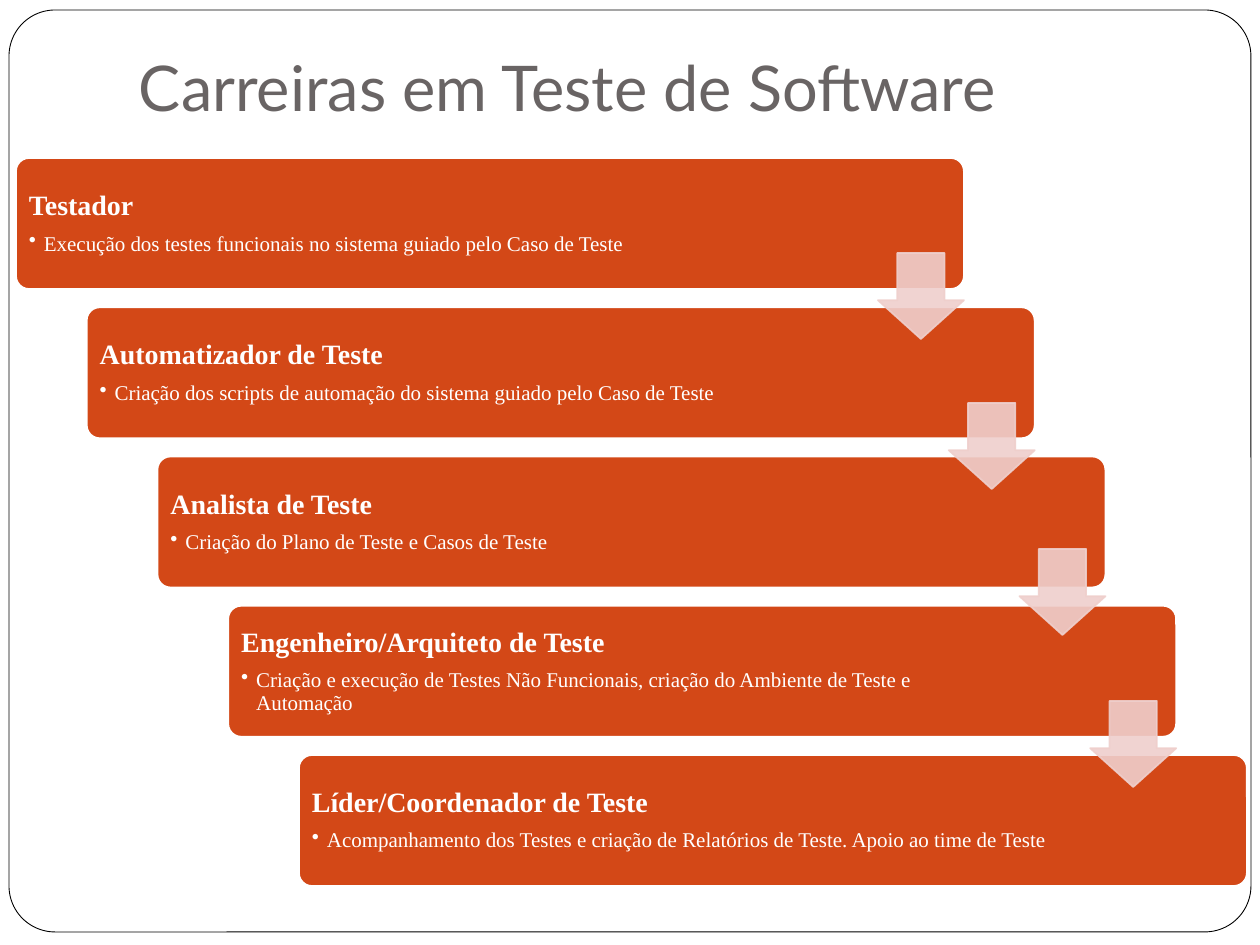
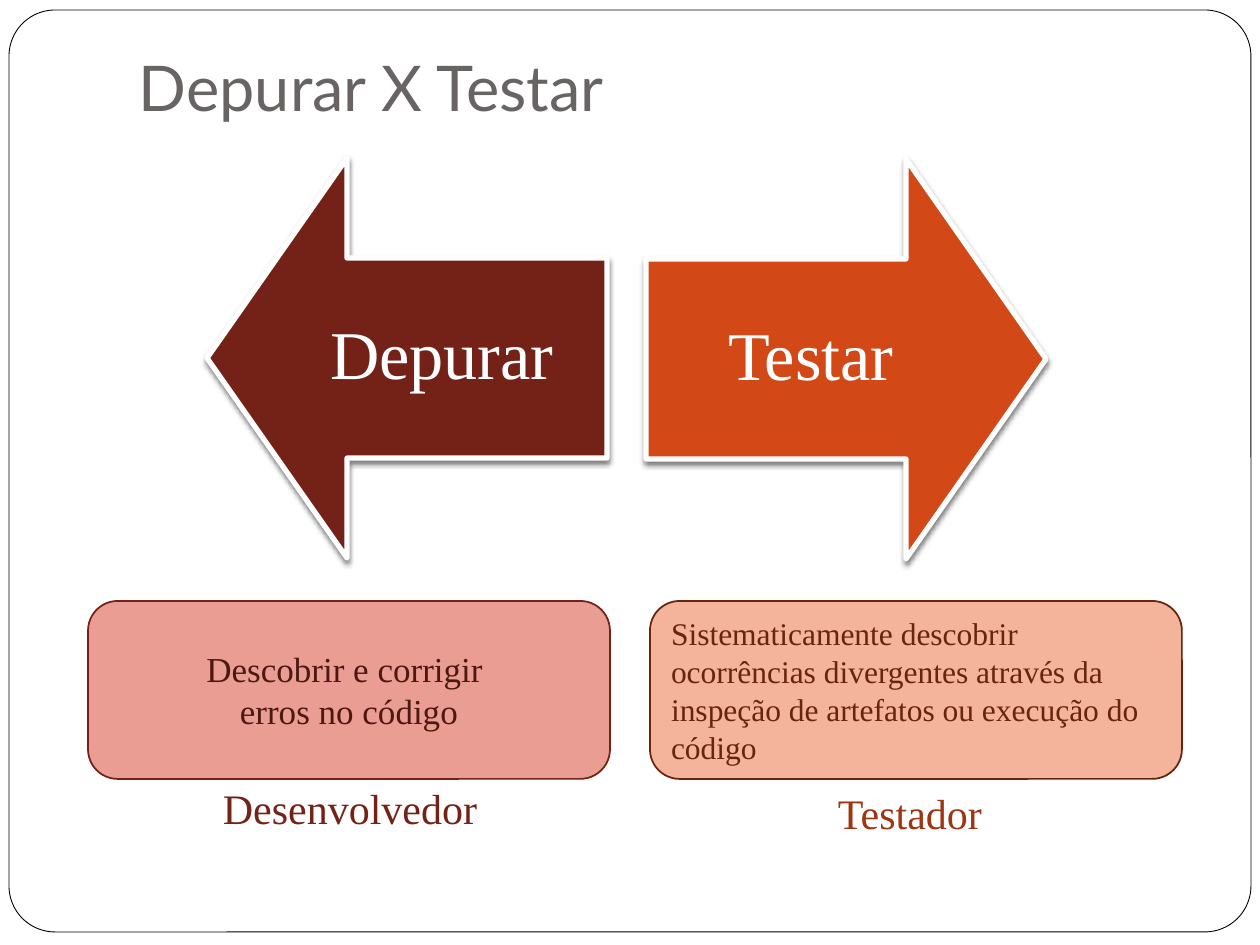
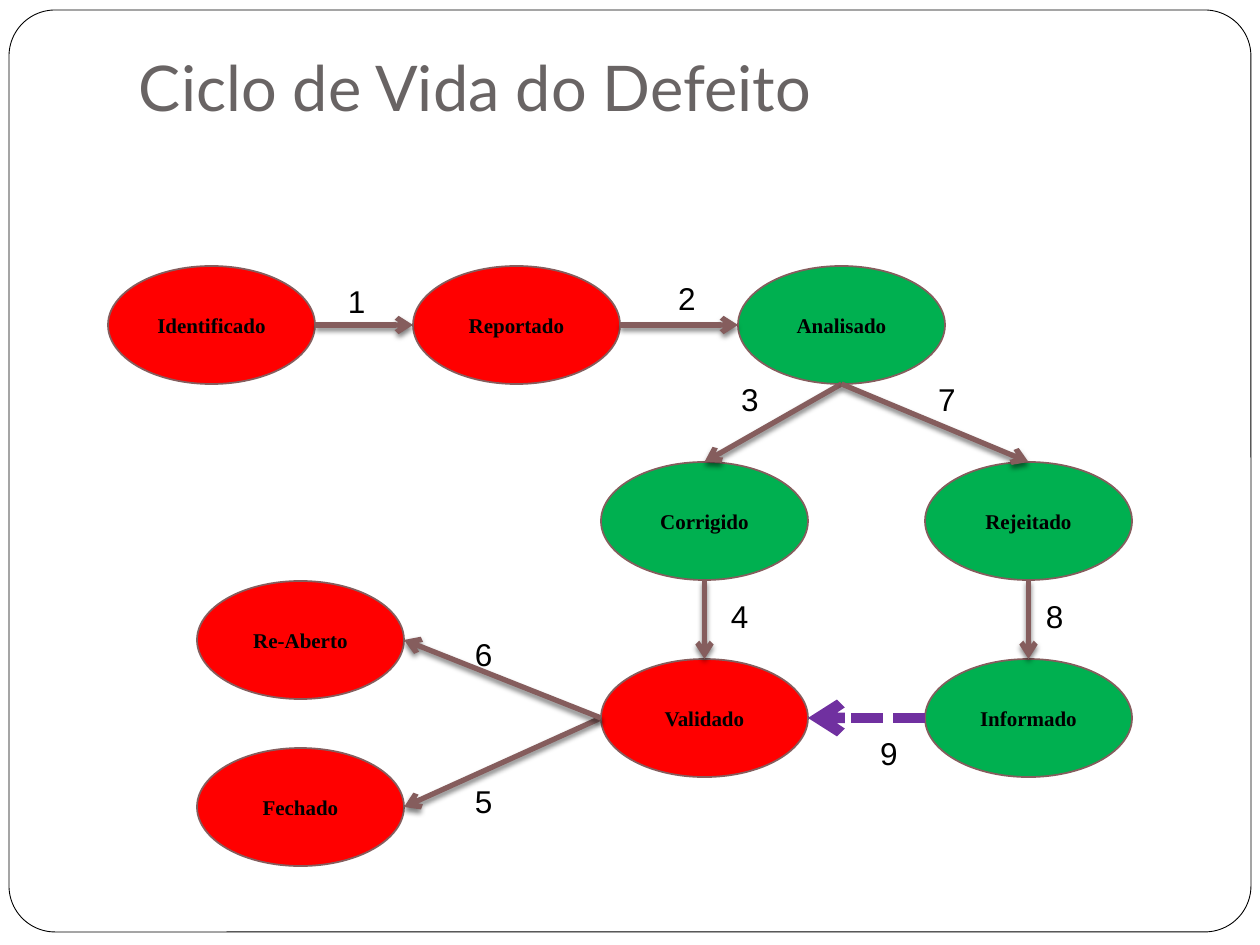
from lxml import etree
from pptx import Presentation, util as u
from pptx.dml.color import RGBColor
from pptx.enum import dml, shapes, text
from pptx.oxml.ns import qn

# Content: careers, from first step to last
CAREERS = [
    ("Testador", "Execução dos testes funcionais no sistema guiado pelo Caso de Teste"),
    ("Automatizador de Teste",
     "Criação dos scripts de automação do sistema guiado pelo Caso de Teste"),
    ("Analista de Teste", "Criação do Plano de Teste e Casos de Teste"),
    ("Engenheiro/Arquiteto de Teste",
     "Criação e execução de Testes Não Funcionais, criação do Ambiente de Teste e Automação"),
    ("Líder/Coordenador de Teste",
     "Acompanhamento dos Testes e criação de Relatórios de Teste. Apoio ao time de Teste"),
]
ARROW_TOPS = (253, 403, 549, 701)

# Content: the two sides of the comparison
SIDES = [
    dict(verb="Depurar", arrow=(207, 158), turn=270, label=(277, 257), color="742217",
         card=(88, 601, 522, 178), fill="E99D93", edge="742217", ink="4E1710",
         note="Descobrir e corrigir \verros no código", size=20, align="CENTER",
         role="Desenvolvedor", role_at=(178, 777), role_ink="742217"),
    dict(verb="Testar", arrow=(646, 159), turn=90, label=(646, 258), color="D34817",
         card=(650, 601, 532, 178), fill="F4B39B", edge="69240C", ink="69240C",
         note="Sistematicamente descobrir ocorrências divergentes através da "
              "inspeção de artefatos ou execução do código", size=18, align="LEFT",
         role="Testador", role_at=(738, 782), role_ink="9E3611"),
]

# Content: defect states (left, top, colour) and numbered moves between them
STATES = {
    "Identificado": (108, 266, "red"),
    "Reportado": (413, 266, "red"),
    "Analisado": (738, 266, "green"),
    "Corrigido": (601, 462, "green"),
    "Rejeitado": (925, 462, "green"),
    "Validado": (601, 659, "red"),
    "Informado": (925, 659, "green"),
    "Re-Aberto": (197, 581, "red"),
    "Fechado": (197, 748, "red"),
}
MOVES = [  # from, side, to, side, label left and top
    ("Identificado", "right", "Reportado", "left", 335, 276),
    ("Reportado", "right", "Analisado", "left", 665, 273),
    ("Analisado", "bottom", "Corrigido", "top", 728, 374),
    ("Corrigido", "bottom", "Validado", "top", 718, 591),
    ("Validado", "left", "Fechado", "right", 462, 776),
    ("Validado", "left", "Re-Aberto", "right", 462, 629),
    ("Analisado", "bottom", "Rejeitado", "top", 925, 374),
    ("Rejeitado", "bottom", "Informado", "top", 1033, 591),
    ("Informado", "left", "Validado", "right", 867, 728),
]
DASHED_MOVE = 9
STATE_SIZE = (207, 118)
SIDE_POINTS = {"top": (.5, 0), "left": (0, .5), "bottom": (.5, 1), "right": (1, .5)}


class Theme:
    white, black, title = "FFFFFF", "000000", "696464"
    step, step_arrow = "D34817", "EFCFCC"
    red, green, line, dashed = "FF0000", "00B050", "855D5D", "7030A0"
    title_font, body_font, number_font = "Lato", "Times New Roman", "Arial"
    title_size, verb_size, role_size, number_size = 36, 39, 24, 18
    step_size, detail_size, state_size = 16, 12, 12


def px(n):
    return u.Emu(round(n * 914400 / 126))


def rgb(color):
    return RGBColor.from_string(color)


def sub(parent, tag, **attrs):
    return etree.SubElement(parent, qn(tag), {k: str(v) for k, v in attrs.items()})


def cast_shadow(effects):
    shadow = sub(effects, "a:outerShdw", blurRad=u.Pt(3), dist=u.Pt(2),
                 dir=5400000, rotWithShape=0)
    sub(sub(shadow, "a:srgbClr", val=Theme.black), "a:alpha", val=50000)


def write(p, content, size=18, color=Theme.black, font=Theme.body_font, bold=False,
          align="LEFT", spacing=None, after=0, bullet=False):
    if bullet:
        pPr = p._p.get_or_add_pPr()
        pPr.set("marL", str(px(15)))
        pPr.set("indent", str(px(-15)))
        sub(pPr, "a:buChar", char="•")
    p.text = content
    p.alignment = getattr(text.PP_ALIGN, align)
    if spacing:
        p.line_spacing = spacing
    if after:
        p.space_after = u.Pt(after)
    for r in p.runs:
        f = r.font
        f.name, f.size, f.bold = font, u.Pt(size), bold
        f.color.rgb = rgb(color)


def add_text(s, box, content, anchor="TOP", insets=(13, 6, 13, 6), wrap=True, **fmt):
    tf = s.shapes.add_textbox(*map(px, box)).text_frame
    tf.word_wrap = wrap
    tf.vertical_anchor = getattr(text.MSO_ANCHOR, anchor)
    tf.margin_left, tf.margin_top, tf.margin_right, tf.margin_bottom = map(px, insets)
    write(tf.paragraphs[0], content, **fmt)
    return tf


def add_shape(s, kind, box, fill, line, width=1, adj=(), alpha=None, shadow=False):
    sp = s.shapes.add_shape(getattr(shapes.MSO_SHAPE, kind), *map(px, box))
    for i, value in enumerate(adj):
        sp.adjustments[i] = value
    sp.shadow.inherit = False
    sp.fill.solid()
    sp.fill.fore_color.rgb = rgb(fill)
    sp.line.color.rgb = rgb(line)
    sp.line.width = u.Pt(width)
    spPr = sp._element.spPr
    if alpha:
        for clr in spPr.iter(qn("a:srgbClr")):
            sub(clr, "a:alpha", val=alpha * 1000)
    if shadow:
        cast_shadow(spPr.find(qn("a:effectLst")))
    return sp


def fill_shape(sp, content, **fmt):
    tf = sp.text_frame
    tf.word_wrap = True
    tf.vertical_anchor = text.MSO_ANCHOR.MIDDLE
    write(tf.paragraphs[0], content, **fmt)


def add_arrow(s, start, end, color, width, dashed=False):
    c = s.shapes.add_connector(shapes.MSO_CONNECTOR.STRAIGHT, *map(px, start + end))
    c.line.color.rgb = rgb(color)
    c.line.width = u.Pt(width)
    if dashed:
        c.line.dash_style = dml.MSO_LINE.SQUARE_DOT
    spPr = c._element.spPr
    sub(spPr.find(qn("a:ln")), "a:tailEnd", type="arrow")
    effects = sub(spPr, "a:effectLst")
    if not dashed:
        cast_shadow(effects)


def add_slide(prs, title):
    s = prs.slides.add_slide(prs.slide_layouts[6])
    add_shape(s, "ROUNDED_RECTANGLE", (9, 10, 1242, 922), Theme.white, Theme.black,
              width=.5, adj=(.05,))
    add_text(s, (126, 38, 1071, 99), title, anchor="BOTTOM", insets=(13, 6, 13, 13),
             size=Theme.title_size, color=Theme.title, font=Theme.title_font)
    return s


def build_careers(prs):
    s = add_slide(prs, "Carreiras em Teste de Software")
    lefts = [16 + i * 70.75 for i in range(len(CAREERS))]
    # Staircase of steps
    for i, (left, (name, detail)) in enumerate(zip(lefts, CAREERS)):
        top = 158 + i * 149.25
        add_shape(s, "ROUNDED_RECTANGLE", (left, top, 948, 131), Theme.step, Theme.white,
                  adj=(.1,))
        tf = add_text(s, (left + 4, top + 4, 784, 123), name, anchor="MIDDLE",
                      insets=(9, 9, 9, 9), size=Theme.step_size, color=Theme.white,
                      bold=True, spacing=.9, after=6.4)
        write(tf.add_paragraph(), detail, size=Theme.detail_size, color=Theme.white,
              spacing=.9, after=2, bullet=True)
    # Arrows from each step to the next
    for left, top in zip(lefts, ARROW_TOPS):
        add_shape(s, "DOWN_ARROW", (left + 862, top, 86, 86), Theme.step_arrow,
                  Theme.step_arrow, adj=(.55, .45), alpha=90)


def build_comparison(prs):
    s = add_slide(prs, "Depurar X Testar")
    for side in SIDES:
        # Big arrow with its verb
        sp = add_shape(s, "UP_ARROW", side["arrow"] + (400, 400), side["color"],
                       Theme.white, width=3, adj=(.5, .35), shadow=True)
        sp.rotation = side["turn"]
        add_text(s, side["label"] + (330, 200), side["verb"], anchor="MIDDLE",
                 insets=(38,) * 4, size=Theme.verb_size, color=Theme.white,
                 align="CENTER", spacing=.9)
        # Card with the meaning, and who does it
        card = add_shape(s, "ROUNDED_RECTANGLE", side["card"], side["fill"], side["edge"])
        fill_shape(card, side["note"], size=side["size"], color=side["ink"],
                   align=side["align"])
        add_text(s, side["role_at"] + (344, 64), side["role"], size=Theme.role_size,
                 color=side["role_ink"], align="CENTER")


def side_point(state, side):
    return tuple(at + size * part for at, size, part
                 in zip(STATES[state][:2], STATE_SIZE, SIDE_POINTS[side]))


def build_life_cycle(prs):
    s = add_slide(prs, "Ciclo de Vida do Defeito")
    # States
    for name, (left, top, color) in STATES.items():
        sp = add_shape(s, "OVAL", (left, top) + STATE_SIZE, getattr(Theme, color), Theme.line)
        fill_shape(sp, name, size=Theme.state_size, bold=True, align="CENTER")
    # Numbered moves
    for n, (start, out, end, into, left, top) in enumerate(MOVES, 1):
        dashed = n == DASHED_MOVE
        add_arrow(s, side_point(start, out), side_point(end, into),
                  Theme.dashed if dashed else Theme.line, 6 if dashed else 3, dashed)
        add_text(s, (left, top, 43, 50), str(n), wrap=False, size=Theme.number_size,
                 font=Theme.number_font)


def main():
    prs = Presentation()
    prs.slide_width, prs.slide_height = px(1260), px(945)
    build_careers(prs)
    build_comparison(prs)
    build_life_cycle(prs)
    prs.save("out.pptx")


if __name__ == "__main__":
    main()
